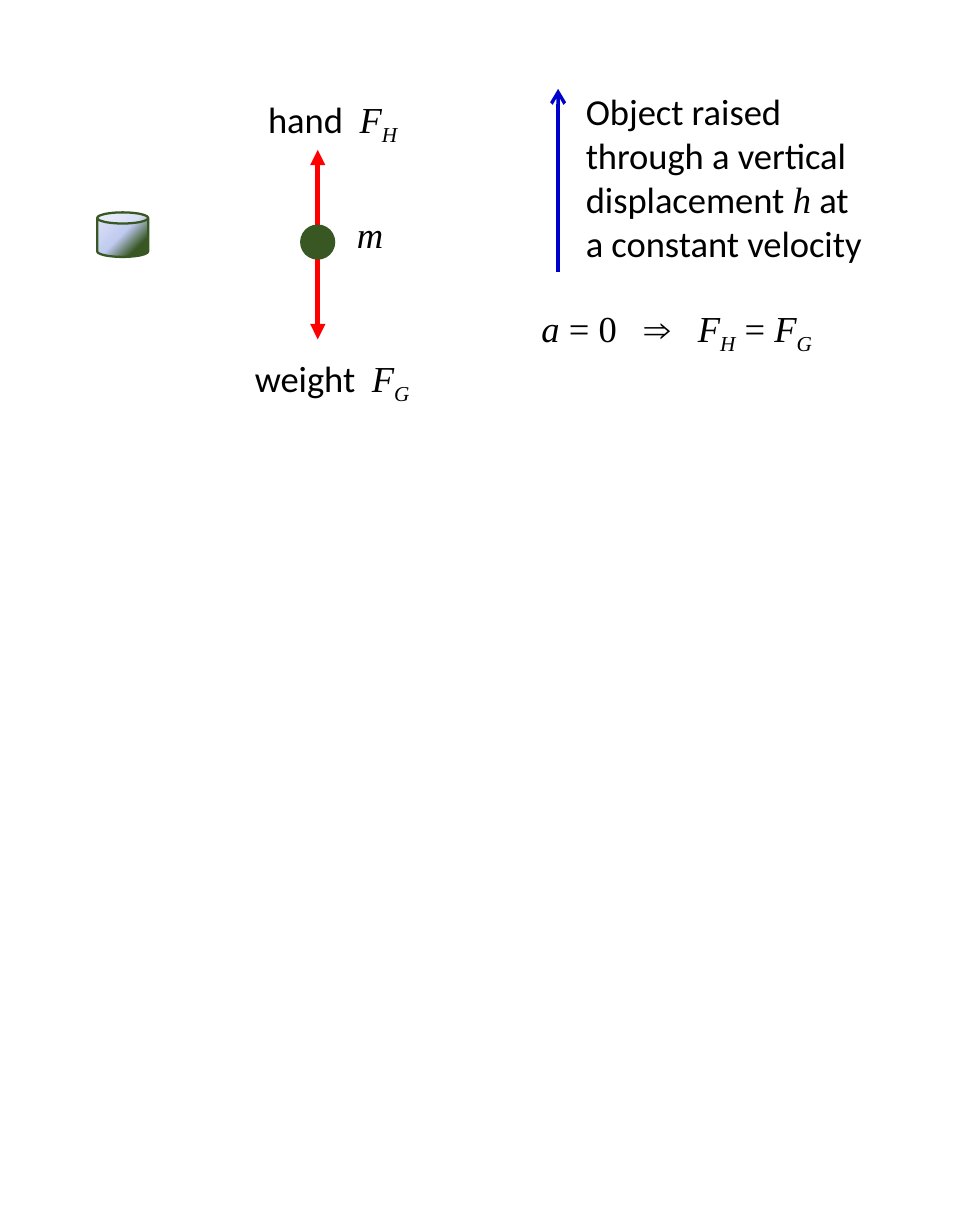
"""Draw the forces on an object raised at a constant velocity."""
from dataclasses import dataclass

from pptx import Presentation
from pptx.dml.color import RGBColor
from pptx.enum.shapes import MSO_CONNECTOR, MSO_SHAPE
from pptx.enum.text import MSO_AUTO_SIZE
from pptx.oxml import parse_xml
from pptx.oxml.ns import nsdecls
from pptx.shapes.autoshape import Shape
from pptx.slide import Slide
from pptx.util import Emu, Pt

CAN = MSO_SHAPE.CAN
OVAL = MSO_SHAPE.OVAL
LINE = MSO_CONNECTOR.STRAIGHT
GROW = MSO_AUTO_SIZE.SHAPE_TO_FIT_TEXT
PX = 9144
BLANK = 6
SANS, SERIF = "Calibri", "Times New Roman"
BLACK, GREEN, RED, BLUE = "000000", "385723", "FF0000", "0000CC"
STOPS = ((20, GREEN), (50, "C0CBF0"), (100, "E0E5F7"))
NS = nsdecls("a")


@dataclass(frozen=True)
class Run:
    """A piece of text in one style."""
    text: str
    font: str = SERIF
    slant: bool = False
    sub: bool = False


@dataclass(frozen=True)
class Label:
    """A text box and its runs."""
    box: tuple[int, int, int, int]
    runs: tuple[Run, ...]
    wrap: bool = False


@dataclass(frozen=True)
class Arrow:
    """An upright line with optional heads."""
    x: int
    start: int
    end: int
    color: str
    width: float
    tail: str
    head: str = "none"


def force(sub: str) -> tuple[Run, Run]:
    """Return the runs of a force symbol."""
    return Run("F", slant=True), Run(sub, slant=True, sub=True)


ARROWS = (
    Arrow(193, 91, 206, RED, 2.25, "triangle", "triangle"),
    Arrow(339, 165, 54, BLUE, 1.5, "arrow"),
)
LABELS = (
    Label((153, 54, 101, 37), (Run("hand  ", SANS), *force("H"))),
    Label((145, 211, 117, 37), (Run("weight  ", SANS), *force("G"))),
    Label((319, 181, 195, 37), (Run("a", slant=True), Run(" = 0   ⇒   "),
                                *force("H"), Run(" = "), *force("G"))),
    Label((207, 124, 36, 37), (Run("m", slant=True),)),
    Label((346, 49, 194, 118),
          (Run("Object raised through a vertical displacement ", SANS),
           Run("h", slant=True), Run(" at a constant velocity", SANS)), True),
)


def px(*sizes: int) -> list[Emu]:
    """Turn px into EMU."""
    return [Emu(size * PX) for size in sizes]


def rgb(code: str) -> RGBColor:
    """Turn a hex string into a colour."""
    return RGBColor.from_string(code)


def add_solid(slide: Slide, kind: MSO_SHAPE, box: tuple[int, int, int, int]) -> Shape:
    """Add a green shape with a thin outline."""
    shape = slide.shapes.add_shape(kind, *px(*box))
    shape.shadow.inherit = False
    shape.fill.solid()
    shape.fill.fore_color.rgb = rgb(GREEN)
    shape.line.color.rgb = rgb(GREEN)
    shape.line.width = Pt(1)
    return shape


def shade(shape: Shape) -> None:
    """Fill a shape with a round gradient from its lower right corner."""
    stops = "".join(f'<a:gs pos="{pos * 1000}"><a:srgbClr val="{code}"/></a:gs>'
                    for pos, code in STOPS)
    grad = parse_xml(f'<a:gradFill {NS} rotWithShape="1"><a:gsLst>{stops}</a:gsLst>'
                     '<a:path path="circle"><a:fillToRect l="100000" t="100000"/>'
                     '</a:path></a:gradFill>')
    props = shape.element.spPr
    props.replace(props.find("{*}solidFill"), grad)


def add_arrow(slide: Slide, arrow: Arrow) -> None:
    """Add an arrow without a shadow."""
    ends = px(arrow.x, arrow.start, arrow.x, arrow.end)
    link = slide.shapes.add_connector(LINE, *ends)
    link.line.color.rgb = rgb(arrow.color)
    link.line.width = Pt(arrow.width)
    props = link.element.spPr
    line = props.find("{*}ln")
    line.append(parse_xml(f'<a:headEnd {NS} type="{arrow.head}"/>'))
    line.append(parse_xml(f'<a:tailEnd {NS} type="{arrow.tail}"/>'))
    props.append(parse_xml(f"<a:effectLst {NS}/>"))


def add_label(slide: Slide, label: Label) -> None:
    """Add a text box run by run."""
    frame = slide.shapes.add_textbox(*px(*label.box)).text_frame
    frame.word_wrap = label.wrap
    frame.auto_size = GROW
    for part in label.runs:
        run = frame.paragraphs[0].add_run()
        run.text = part.text
        run.font.name = part.font
        run.font.size = Pt(16)
        run.font.italic = part.slant
        run.font.color.rgb = rgb(BLACK)
        if part.sub:
            run.font.element.set("baseline", "-25000") if hasattr(
                run.font, "element") else run.font._element.set("baseline", "-25000")


def main() -> None:
    """Build and save the slide."""
    deck = Presentation()
    deck.slide_width, deck.slide_height = px(591, 748)
    slide = deck.slides.add_slide(deck.slide_layouts[BLANK])
    shade(add_solid(slide, CAN, (59, 129, 31, 27)))
    force_line, lift = ARROWS
    add_arrow(slide, force_line)
    add_solid(slide, OVAL, (183, 137, 20, 20))
    add_arrow(slide, lift)
    for label in LABELS:
        add_label(slide, label)
    deck.save("out.pptx")


if __name__ == "__main__":
    main()
